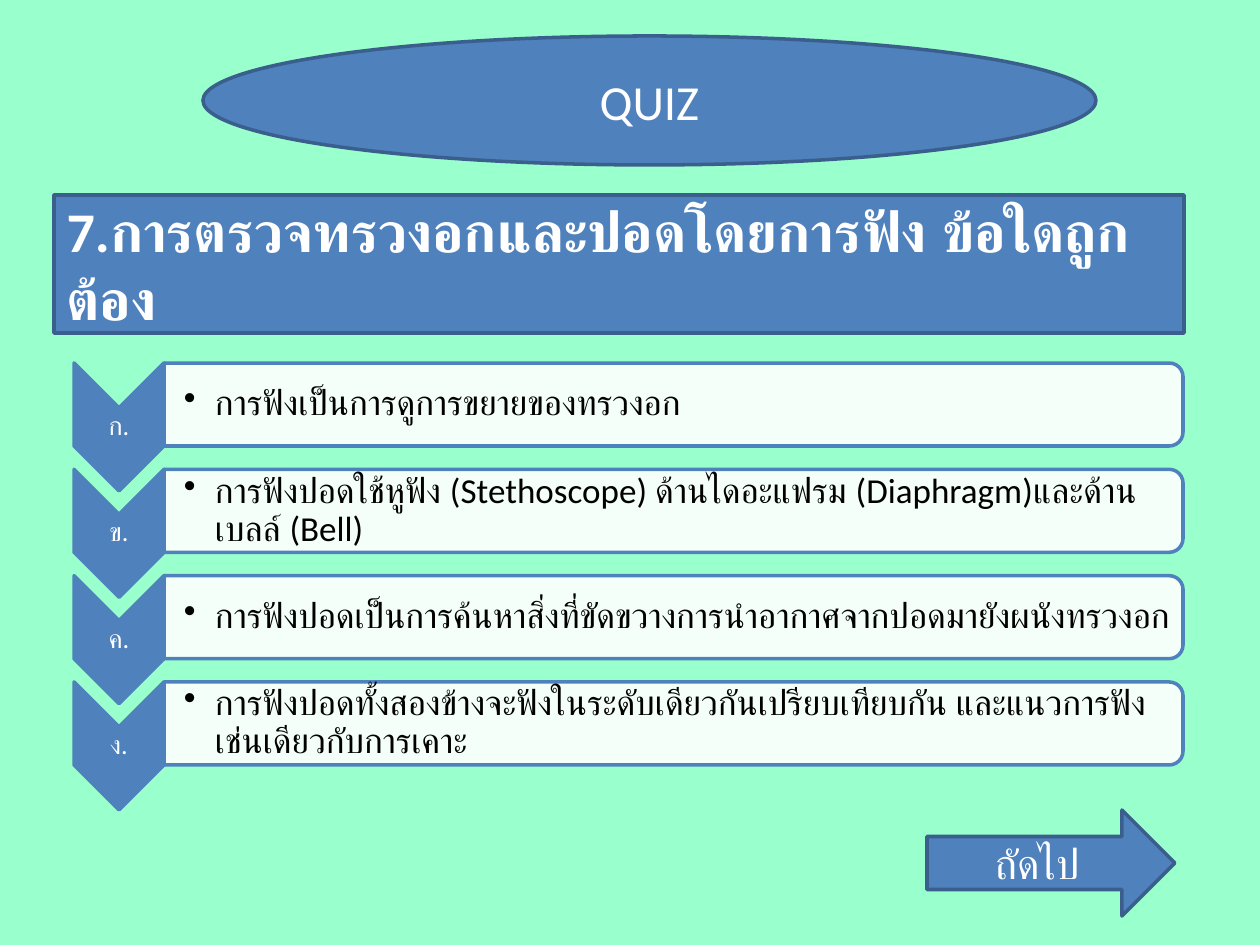
from lxml import etree
from pptx import Presentation
from pptx.dml.color import RGBColor
from pptx.enum.shapes import MSO_SHAPE
from pptx.enum.text import MSO_ANCHOR, MSO_AUTO_SIZE, PP_ALIGN
from pptx.oxml.ns import qn
from pptx.util import Pt

OVAL = MSO_SHAPE.OVAL
ARROW = MSO_SHAPE.RIGHT_ARROW
CHEVRON = MSO_SHAPE.CHEVRON
PANEL = MSO_SHAPE.ROUND_2_SAME_RECTANGLE
LEFT, CENTER = PP_ALIGN.LEFT, PP_ALIGN.CENTER

MINT = RGBColor(0x99, 0xFF, 0xCC)
BLUE = RGBColor(0x4F, 0x81, 0xBD)
DARK_BLUE = RGBColor(0x3A, 0x5F, 0x8C)
WHITE = RGBColor(0xFF, 0xFF, 0xFF)
BLACK = RGBColor(0, 0, 0)
FONT = "Calibri"
PX_PER_INCH = 126

QUESTION = "7.การตรวจทรวงอกและปอดโดยการฟัง ข้อใดถูกต้อง"
ANSWERS = [
    ("ก.", "การฟังเป็นการดูการขยายของทรวงอก"),
    ("ข.", "การฟังปอดใช้หูฟัง (Stethoscope) ด้านไดอะแฟรม (Diaphragm)และด้านเบลล์ (Bell)"),
    ("ค.", "การฟังปอดเป็นการค้นหาสิ่งที่ขัดขวางการนำอากาศจากปอดมายังผนังทรวงอก"),
    ("ง.", "การฟังปอดทั้งสองข้างจะฟังในระดับเดียวกันเปรียบเทียบกัน และแนวการฟังเช่นเดียวกับการเคาะ"),
]


def px(length):
    return round(length * 914400 / PX_PER_INCH)


def paint(shape, fill, line):
    shape.fill.solid()
    shape.fill.fore_color.rgb = fill
    shape.line.color.rgb = line
    shape.line.width = Pt(2)


def write(shape, text, size, color, align=CENTER, bold=False):
    frame = shape.text_frame
    frame.text = text
    frame.word_wrap = True
    frame.auto_size = MSO_AUTO_SIZE.NONE
    frame.vertical_anchor = MSO_ANCHOR.MIDDLE
    para = frame.paragraphs[0]
    para.alignment = align
    font = para.runs[0].font
    font.name, font.size, font.bold = FONT, Pt(size), bold
    font.color.rgb = color
    return para


def add_painted(page, kind, box, fill=BLUE, line=DARK_BLUE):
    shape = page.shapes.add_shape(kind, *map(px, box))
    shape.shadow.inherit = False
    paint(shape, fill, line)
    return shape


def add_turned(page, kind, box, fill):
    """Add a shape turned a quarter clockwise so that it fills the box."""
    left, top, width, height = box
    shift = (width - height) / 2
    shape = add_painted(page, kind, (left + shift, top - shift, height, width), fill, BLUE)
    shape.rotation = 90
    return shape


def add_label(page, box, text, size, color, align=CENTER, inset=1):
    label = page.shapes.add_textbox(*map(px, box))
    para = write(label, text, size, color, align)
    para.line_spacing = 0.9
    frame = label.text_frame
    frame.margin_left = px(inset)
    frame.margin_right = frame.margin_top = frame.margin_bottom = px(1)
    return para


def add_bullet(para, indent):
    properties = para._p.get_or_add_pPr()
    properties.set("marL", str(px(indent)))
    properties.set("indent", str(-px(indent)))
    etree.SubElement(properties, qn("a:buChar")).set("char", "•")


def add_question(page, box):
    title = page.shapes.title
    title.left, title.top, title.width, title.height = map(px, box)
    paint(title, BLUE, DARK_BLUE)
    write(title, QUESTION, 32, WHITE, LEFT, bold=True)


def add_answer(page, box, letter, answer):
    left, top, width, height = box
    tab = 90
    add_turned(page, CHEVRON, (left, top, tab, height), BLUE)
    add_label(page, (left, top + 45, tab, 38), letter, 15, WHITE)

    panel_left, panel_width, panel_height = left + tab, width - tab, height - 45
    panel = add_turned(page, PANEL, (panel_left, top, panel_width, panel_height), WHITE)
    color = panel.fill._xPr.find(qn("a:solidFill"))[0]
    etree.SubElement(color, qn("a:alpha")).set("val", "90000")
    para = add_label(page, (panel_left, top + 4, panel_width - 4, panel_height - 8),
                     answer, 20, BLACK, LEFT, inset=20)
    add_bullet(para, 31)


def add_answers(page, box):
    left, top, width, height = box
    row_height = 128
    pitch = (height - row_height) / (len(ANSWERS) - 1)
    for row, (letter, answer) in enumerate(ANSWERS):
        add_answer(page, (left, top + row * pitch, width, row_height), letter, answer)


def main():
    deck = Presentation()
    deck.slide_width, deck.slide_height = px(1260), px(945)
    page = deck.slides.add_slide(deck.slide_layouts[5])
    page.background.fill.solid()
    page.background.fill.fore_color.rgb = MINT

    write(add_painted(page, OVAL, (203, 36, 893, 129)), "QUIZ", 28, WHITE)
    add_question(page, (54, 195, 1130, 138))
    add_answers(page, (74, 363, 1109, 447))
    write(add_painted(page, ARROW, (927, 810, 248, 106)), "ถัดไป", 24, WHITE)
    deck.save("out.pptx")


if __name__ == "__main__":
    main()
